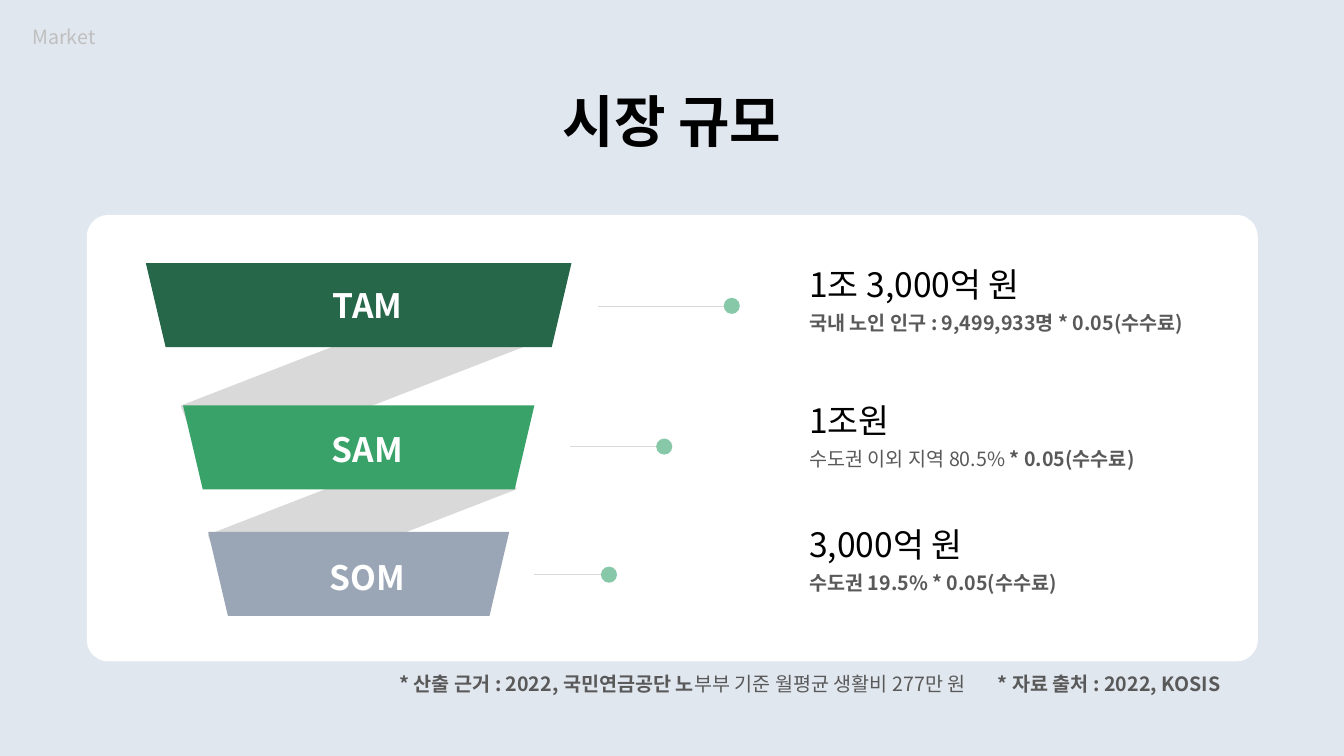
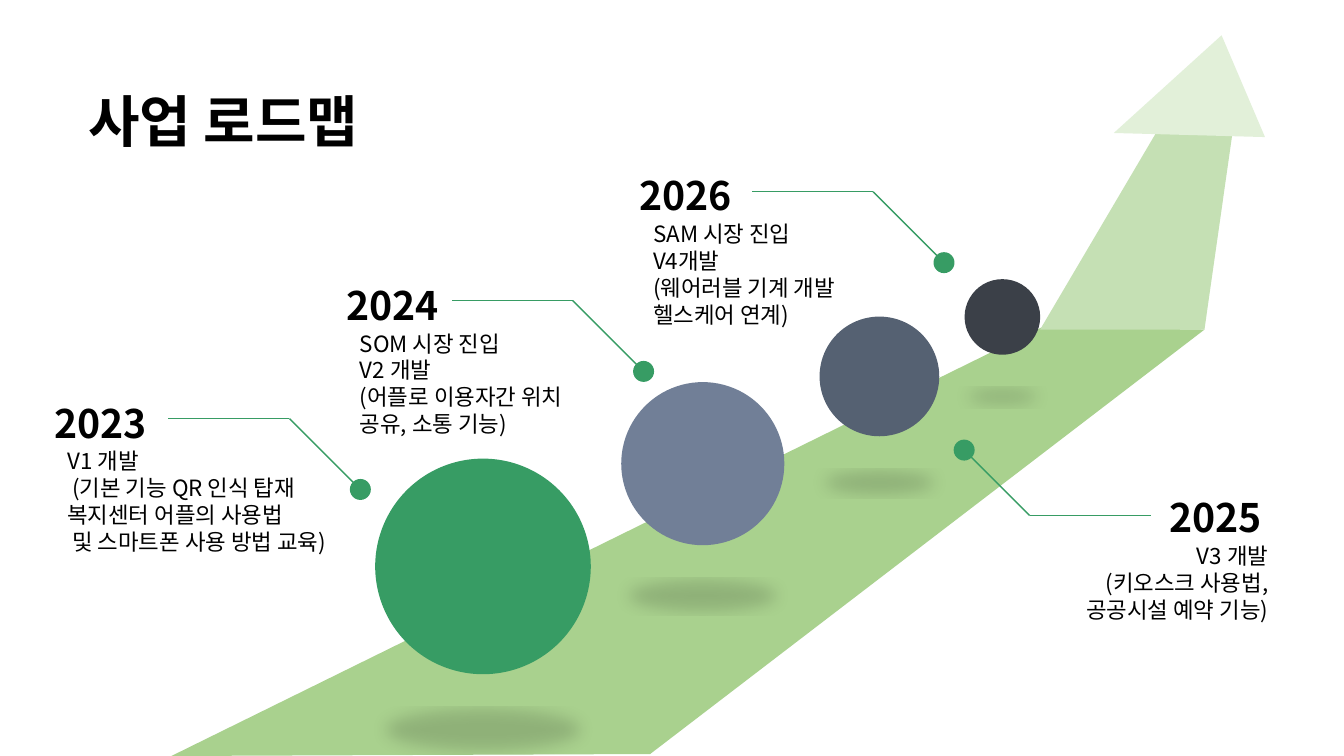
from lxml import etree
from pptx import Presentation
from pptx.dml.color import RGBColor as RGB
from pptx.enum.shapes import MSO_CONNECTOR as LINK, MSO_SHAPE as SHAPE
from pptx.enum.text import MSO_AUTO_SIZE as FIT, PP_ALIGN as ALIGN
from pptx.oxml.ns import qn
from pptx.util import Pt

FONT = "Noto Sans CJK KR"
COLORS = {
    "backdrop": "E1E7EF", "white": "FFFFFF", "black": "000000",
    "tag": "BFBFBF", "note": "595959", "ribbon": "D9D9D9",
    "tam": "276749", "sam": "38A269", "som": "9AA6B5", "mint": "86C8A8",
    "road": "A9D18E", "riser": "C5E0B4", "arrowhead": "E2F0D9",
    "green": "379C64", "slate": "717F97", "steel": "556172", "ink": "3B4048",
}
# Each text style: colour name, then font attributes
STYLES = {
    "title": ("black", {"size": Pt(40), "bold": True}),
    "tag": ("tag", {"size": Pt(14)}),
    "level": ("white", {"size": Pt(24), "bold": True}),
    "value": ("black", {"size": Pt(24)}),
    "note": ("note", {"size": Pt(14)}),
    "year": ("black", {"size": Pt(28), "bold": True}),
    "plan": ("black", {"size": Pt(16)}),
}
TITLE_BOX = (56, 58.5, 848, 55.5)
SPACE = Pt(3.6)  # first-line indent of one space at 16 pt


def write(slide, box, style, paragraphs, align=ALIGN.LEFT):
    """Add a text box; each paragraph is a list of (text, font overrides)."""
    frame = slide.shapes.add_textbox(*map(Pt, box)).text_frame
    frame.word_wrap = True
    frame.auto_size = FIT.SHAPE_TO_FIT_TEXT
    color, base = STYLES[style]
    for i, runs in enumerate(paragraphs):
        paragraph = frame.add_paragraph() if i else frame.paragraphs[0]
        paragraph.alignment = align
        for text, overrides in runs:
            run = paragraph.add_run()
            run.text = text
            for key, value in {"name": FONT, **base, **overrides}.items():
                setattr(run.font, key, value)
            run.font.color.rgb = RGB.from_string(COLORS[color])
            etree.SubElement(run.font._element, qn("a:ea"), typeface=FONT)
    return frame


def paint(part, color, line_width=None):
    """Give a connector its line, or a shape its plain fill, without shadow."""
    rgb = RGB.from_string(COLORS[color])
    if line_width:
        part.line.color.rgb = rgb
        part.line.width = Pt(line_width)
        etree.SubElement(part._element.spPr, qn("a:effectLst"))
    else:
        part.fill.solid()
        part.fill.fore_color.rgb = rgb
        part.line.fill.background()
        part.shadow.inherit = False
    return part


deck = Presentation()
deck.slide_width, deck.slide_height = Pt(960), Pt(540)
blank = deck.slide_layouts[6]
BOLD, PLAIN = {"bold": True}, {}

# ---- Market size ----
market = deck.slides.add_slide(blank)
market.background.fill.solid()
market.background.fill.fore_color.rgb = RGB.from_string(COLORS["backdrop"])
write(market, (16, 14.5, 480, 24.5), "tag", [[("Market", PLAIN)]])
write(market, TITLE_BOX, "title", [[("시장 규모", PLAIN)]], ALIGN.CENTER)
card = paint(market.shapes.add_shape(
    SHAPE.ROUNDED_RECTANGLE, Pt(62), Pt(153.5), Pt(836.5), Pt(319)), "white")
card.adjustments[0] = 0.049

# Funnel: name, top, width, label top, ribbon below (left, top, width),
# leader (start, dot centre x, y), value top, value, note
FUNNEL_X, LABEL_X, LEVEL_H, DOT = 256.2, 262.5, 60, 11.5
levels = [
    ("TAM", 188, 304, 200, (129, 240, 266), (427, 522.7, 218.5), 185,
     "1조 3,000억 원", [("국내 노인 인구 : 9,499,933명 * 0.05(수수료)", BOLD)]),
    ("SAM", 289.5, 251, 302.5, (150, 341, 217.5), (407.5, 474.5, 319), 282,
     "1조원", [("수도권 이외 지역 80.5% ", PLAIN), ("* 0.05(수수료)", BOLD)]),
    ("SOM", 380, 215, 394.5, None, (381.5, 435, 410.5), 371,
     "3,000억 원", [("수도권 19.5% * 0.05(수수료)", BOLD)]),
]
for name, top, width, label_top, ribbon, leader, value_top, value, note in levels:
    if ribbon:
        band = market.shapes.add_shape(SHAPE.RECTANGLE, *map(Pt, ribbon), Pt(49.5))
        paint(band, "ribbon").rotation = 338.8
    level = paint(market.shapes.add_shape(
        SHAPE.TRAPEZOID, Pt(FUNNEL_X - width / 2), Pt(top), Pt(width), Pt(LEVEL_H)),
        name.lower())
    level.rotation = 180
    level.adjustments[0] = 0.235
    write(market, (LABEL_X - 60, label_top, 120, 36), "level",
          [[(name, PLAIN)]], ALIGN.CENTER)

    start, dot_x, y = leader
    paint(market.shapes.add_connector(
        LINK.STRAIGHT, Pt(start), Pt(y), Pt(dot_x), Pt(y)), "ribbon", 0.5)
    paint(market.shapes.add_shape(
        SHAPE.OVAL, Pt(dot_x - DOT / 2), Pt(y - DOT / 2), Pt(DOT), Pt(DOT)), "mint")
    write(market, (571, value_top, 212, 36), "value", [[(value, PLAIN)]])
    write(market, (571, value_top + 33.5, 340, 24.5), "note", [note])

# Sources under the card
sources = [
    (191, [("* 산출 근거 : 2022, 국민연금공단 노", BOLD),
           ("부부 기준 월평균 생활비 277만 원", PLAIN)]),
    (373, [("* 자료 출처 : 2022, KOSIS", BOLD)]),
]
for left, runs in sources:
    write(market, (left, 476.5, 506, 24.5), "note", [runs], ALIGN.RIGHT)

# ---- Roadmap ----
roadmap = deck.slides.add_slide(blank)
write(roadmap, TITLE_BOX, "title", [[("사업 로드맵", PLAIN)]])

# Rising arrow
arrow = {
    "road": [(743.8, 234), (860.4, 235.4), (464.4, 538.6), (122.4, 540)],
    "riser": [(825.8, 95), (880.6, 93.6), (860.4, 235.4), (743, 235.4)],
    "arrowhead": [(795.6, 95), (872.6, 25.2), (903.6, 97.9)],
}
for color, points in arrow.items():
    (x, y), *rest = [(Pt(x), Pt(y)) for x, y in points]
    outline = roadmap.shapes.build_freeform(x, y)
    outline.add_line_segments(rest, close=True)
    paint(outline.convert_to_shape(), color)

# Balls with a flattened shadow beneath: colour, centre, diameter
balls = [("green", 345, 404.6, 154), ("slate", 502, 331.2, 116.5),
         ("steel", 628.2, 268.9, 85.5), ("ink", 716, 226.4, 54)]
for color, x, y, size in balls:
    ball = paint(roadmap.shapes.add_shape(
        SHAPE.OVAL, Pt(x - size / 2), Pt(y - size / 2), Pt(size), Pt(size)), color)
    shadow = etree.SubElement(
        ball._element.spPr.find(qn("a:effectLst")), qn("a:outerShdw"),
        blurRad=str(Pt(12)), dist=str(Pt(25)), dir="5400000",
        sx="90000", sy="-19000", rotWithShape="0")
    tint = etree.SubElement(shadow, qn("a:srgbClr"), val=COLORS["black"])
    etree.SubElement(tint, qn("a:alpha"), val="15000")

# Milestones: year, dot centre, diagonal reach, year corner, plan box, lines
MARK, TAIL = 15, 86.5
milestones = [
    ("2023", (257.4, 349.6), -50.6, (31.5, 281.5), (41, 316, 201, 104), ALIGN.LEFT,
     ["V1 개발", "(기본 기능 QR 인식 탑재", "복지센터 어플의 사용법",
      "및 스마트폰 사용 방법 교육)"]),
    ("2024", (459.7, 265.3), -50.6, (240.5, 197.5), (250, 232, 174, 124), ALIGN.LEFT,
     ["SOM 시장 진입", "V2 개발", "(어플로 이용자간 위치 공유, 소통 기능)"]),
    ("2025", (688.7, 321.5), 46.8, (828, 349), (718, 384, 195, 65.5), ALIGN.RIGHT,
     ["V3 개발", "(키오스크 사용법,", "공공시설 예약 기능)"]),
    ("2026", (674.3, 187.6), -50.6, (449.5, 119), (459.5, 154, 174, 85), ALIGN.LEFT,
     ["SAM 시장 진입", "V4개발", "(웨어러블 기계 개발", "헬스케어 연계)"]),
]
for year, (x, y), reach, corner, plan_box, align, lines in milestones:
    elbow_x, elbow_y = x + reach, y + reach
    tail_x = elbow_x + (TAIL if reach > 0 else -TAIL)
    for ends in [(x, y, elbow_x, elbow_y), (elbow_x, elbow_y, tail_x, elbow_y)]:
        paint(roadmap.shapes.add_connector(LINK.STRAIGHT, *map(Pt, ends)), "green", 1)
    paint(roadmap.shapes.add_shape(
        SHAPE.OVAL, Pt(x - MARK / 2), Pt(y - MARK / 2), Pt(MARK), Pt(MARK)), "green")
    write(roadmap, (*corner, 120, 41), "year", [[(year, PLAIN)]])
    plan = write(roadmap, plan_box, "plan", [[(line, PLAIN)] for line in lines], align)
    if year == "2023":
        for row in (1, 3):
            plan.paragraphs[row]._p.get_or_add_pPr().set("indent", str(SPACE))

deck.save("out.pptx")
